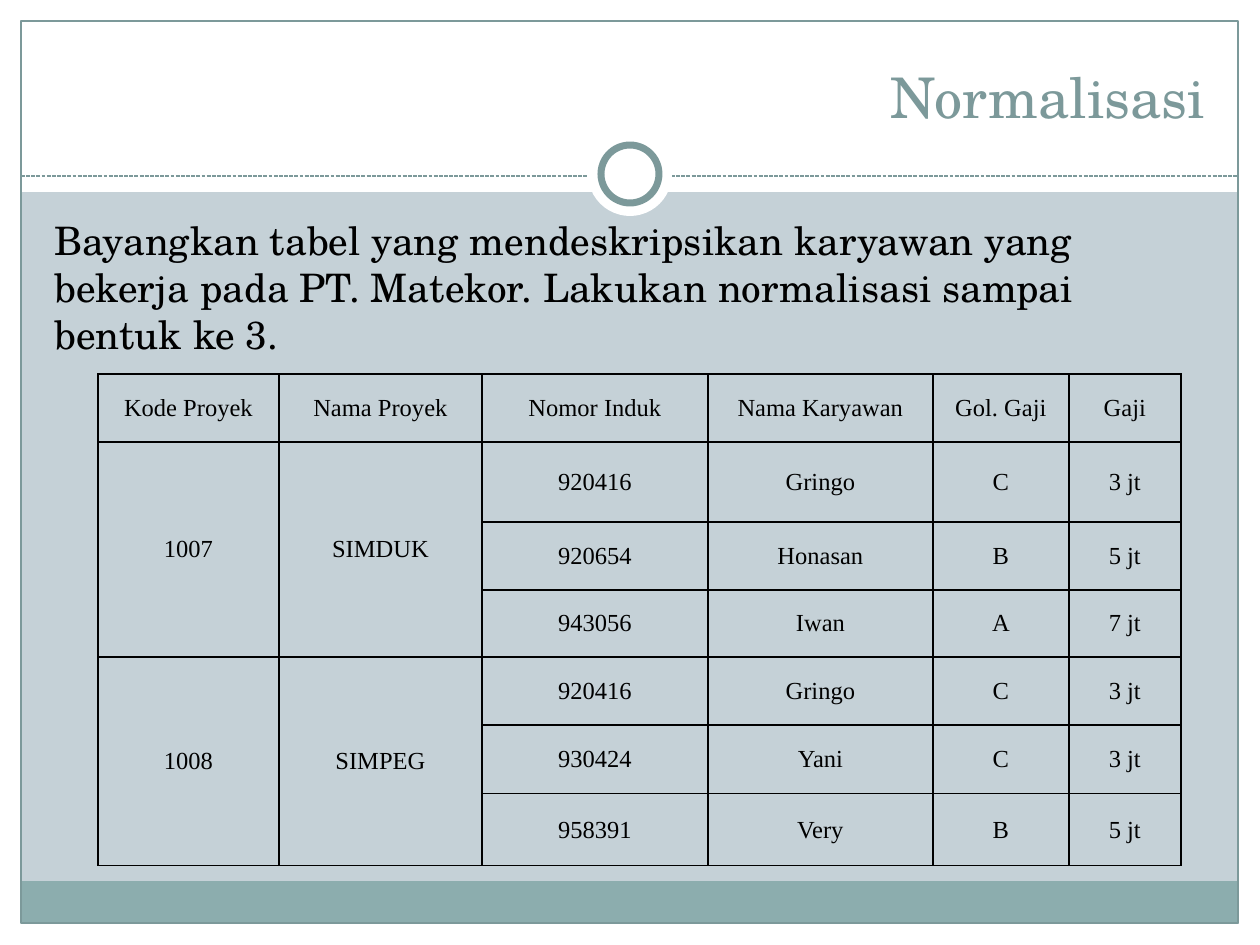
from lxml.etree import SubElement
from pptx import Presentation
from pptx.dml.color import RGBColor
from pptx.enum.dml import MSO_LINE
from pptx.enum.shapes import MSO_CONNECTOR, MSO_SHAPE
from pptx.enum.text import MSO_ANCHOR, PP_ALIGN
from pptx.oxml.ns import qn
from pptx.util import Pt

SCALE = 914400 / 126  # EMU per px
WIDTH, HEIGHT = 1260, 945

WHITE = RGBColor(0xFF, 0xFF, 0xFF)
BLACK = RGBColor(0, 0, 0)
PALE = RGBColor(0xC5, 0xD1, 0xD7)
TEAL = RGBColor(0x8C, 0xAD, 0xAE)
SLATE = RGBColor(0x7C, 0x99, 0x9A)
SERIF = "TeX Gyre Schola"
TABLE_FONT = "Times New Roman"

TITLE = "Normalisasi"
BODY = ("Bayangkan tabel yang mendeskripsikan karyawan yang bekerja pada "
        "PT. Matekor. Lakukan normalisasi sampai bentuk ke 3.")

HEADERS = ["Kode Proyek", "Nama Proyek", "Nomor Induk", "Nama Karyawan", "Gol. Gaji", "Gaji"]
PROJECTS = [
    ("1007", "SIMDUK", [("920416", "Gringo", "C", "3 jt"),
                        ("920654", "Honasan", "B", "5 jt"),
                        ("943056", "Iwan", "A", "7 jt")]),
    ("1008", "SIMPEG", [("920416", "Gringo", "C", "3 jt"),
                        ("930424", "Yani", "C", "3 jt"),
                        ("958391", "Very", "B", "5 jt")]),
]
TABLE_LEFT, TABLE_TOP = 98, 374
COLUMN_WIDTHS = [181, 203, 226, 225, 136, 112]
ROW_HEIGHTS = [68, 80, 68, 67, 68, 69, 72]

# Frame: shape, (left, top, width, height), fill, line width in points
BANDS = [
    (MSO_SHAPE.RECTANGLE, (0, 924, WIDTH, 21), WHITE, None),
    (MSO_SHAPE.RECTANGLE, (0, 0, WIDTH, 192), WHITE, None),
    (MSO_SHAPE.RECTANGLE, (0, 0, 21, HEIGHT), WHITE, None),
    (MSO_SHAPE.RECTANGLE, (1239, 0, 21, HEIGHT), WHITE, None),
    (MSO_SHAPE.RECTANGLE, (21, 881, 1217, 43), TEAL, None),
    (MSO_SHAPE.RECTANGLE, (21, 21, 1217, 902), None, 0.75),
]
RING = [
    (MSO_SHAPE.OVAL, (588, 132, 84, 84), WHITE, None),
    (MSO_SHAPE.OVAL, (601, 145, 58, 58), WHITE, 4),
]


def emu(*lengths):
    return [round(length * SCALE) for length in lengths]


def add_shapes(slide, items):
    for kind, box, fill, line_width in items:
        shape = slide.shapes.add_shape(kind, *emu(*box))
        shape.shadow.inherit = False
        if fill is None:
            shape.fill.background()
        else:
            shape.fill.solid()
            shape.fill.fore_color.rgb = fill
        if line_width is None:
            shape.line.fill.background()
        else:
            shape.line.color.rgb = SLATE
            shape.line.width = Pt(line_width)


def write(text_frame, text, size, font, color, align):
    text_frame.text = text
    paragraph = text_frame.paragraphs[0]
    paragraph.alignment = align
    run_font = paragraph.runs[0].font
    run_font.size, run_font.name = Pt(size), font
    run_font.color.rgb = color
    return paragraph


def add_text(slide, box, text, size, color, align, anchor):
    text_frame = slide.shapes.add_textbox(*emu(*box)).text_frame
    text_frame.word_wrap = True
    text_frame.vertical_anchor = anchor
    write(text_frame, text, size, SERIF, color, align)


def style_cell(cell):
    cell.vertical_anchor = MSO_ANCHOR.MIDDLE
    cell.margin_left, cell.margin_right, cell.margin_top, cell.margin_bottom = emu(9, 9, 0, 0)
    properties = cell._tc.get_or_add_tcPr()
    for side in ("a:lnL", "a:lnR", "a:lnT", "a:lnB"):
        border = SubElement(properties, qn(side), w=str(Pt(1)))
        solid = SubElement(border, qn("a:solidFill"))
        SubElement(solid, qn("a:srgbClr"), val=str(BLACK))
    cell.fill.background()


def write_cell(cell, text, spacing=0):
    paragraph = write(cell.text_frame, text, 14, TABLE_FONT, BLACK, PP_ALIGN.CENTER)
    paragraph.space_before = paragraph.space_after = Pt(spacing)


def add_project_table(slide):
    box = emu(TABLE_LEFT, TABLE_TOP, sum(COLUMN_WIDTHS), sum(ROW_HEIGHTS))
    table = slide.shapes.add_table(len(ROW_HEIGHTS), len(COLUMN_WIDTHS), *box).table
    table.first_row = table.horz_banding = False
    for column, width in zip(table.columns, emu(*COLUMN_WIDTHS)):
        column.width = width
    for row, height in zip(table.rows, emu(*ROW_HEIGHTS)):
        row.height = height
    for cell in table.iter_cells():
        style_cell(cell)

    for column, header in enumerate(HEADERS):
        write_cell(table.cell(0, column), header, spacing=6)
    first = 1
    for code, name, employees in PROJECTS:
        last = first + len(employees) - 1
        for column, text in enumerate((code, name)):
            table.cell(first, column).merge(table.cell(last, column))
            write_cell(table.cell(first, column), text)
        for row, employee in enumerate(employees, first):
            for column, text in enumerate(employee, 2):
                write_cell(table.cell(row, column), text)
        first = last + 1


def main():
    presentation = Presentation()
    presentation.slide_width, presentation.slide_height = emu(WIDTH, HEIGHT)
    slide = presentation.slides.add_slide(presentation.slide_layouts[6])
    slide.background.fill.solid()
    slide.background.fill.fore_color.rgb = PALE

    # Frame, dashed divider and ring
    add_shapes(slide, BANDS)
    divider = slide.shapes.add_connector(MSO_CONNECTOR.STRAIGHT, *emu(21, 176, 1239, 176))
    divider.line.color.rgb = SLATE
    divider.line.width = Pt(0.75)
    divider.line.dash_style = MSO_LINE.SQUARE_DOT
    SubElement(divider._element.spPr, qn("a:effectLst"))
    add_shapes(slide, RING)

    # Title, task and table
    add_text(slide, (42, 31, 1176, 105), TITLE, 32, SLATE, PP_ALIGN.RIGHT, MSO_ANCHOR.BOTTOM)
    add_text(slide, (42, 210, 1172, 164), BODY, 22.4, BLACK, PP_ALIGN.LEFT, MSO_ANCHOR.TOP)
    add_project_table(slide)

    presentation.save("out.pptx")


if __name__ == "__main__":
    main()
